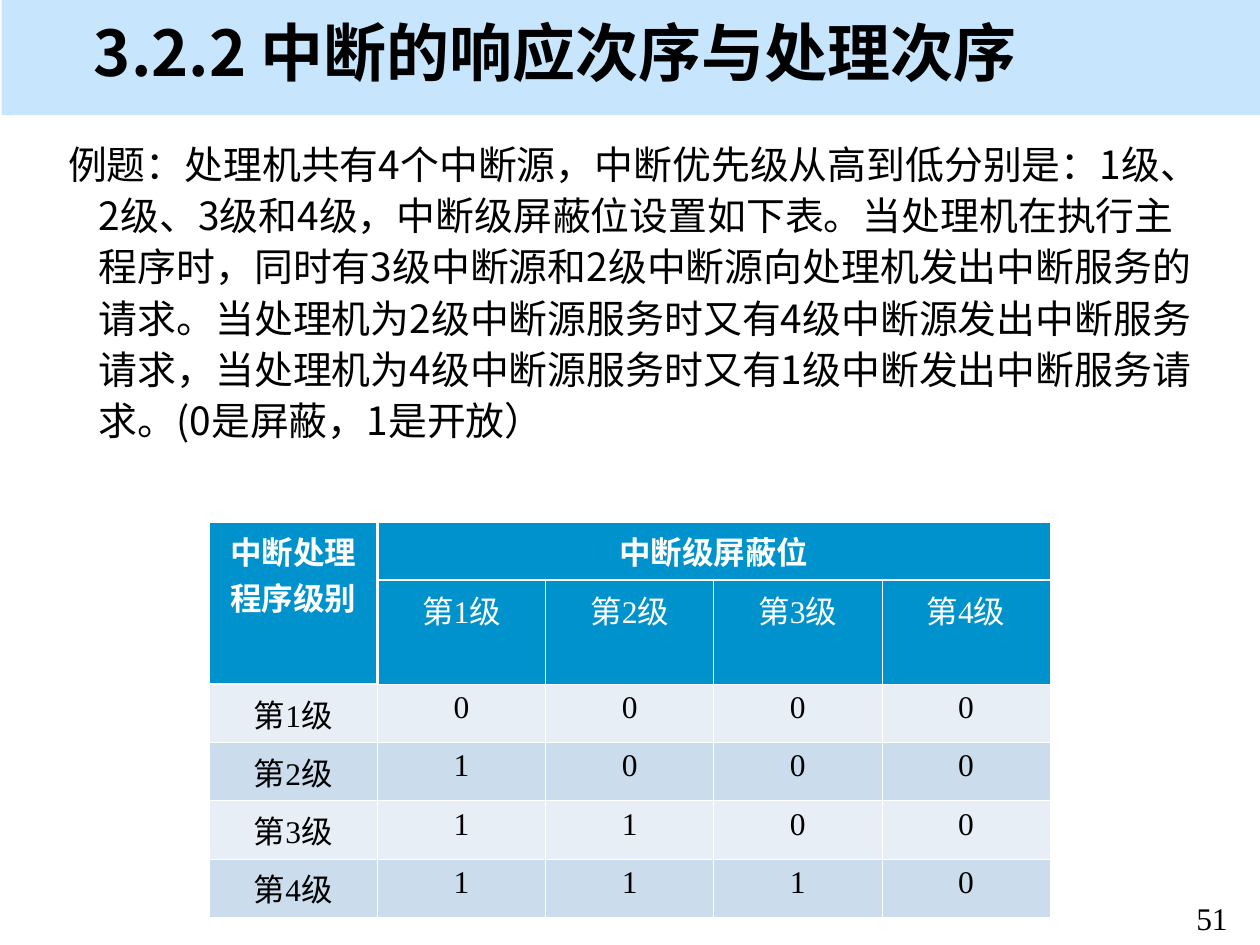
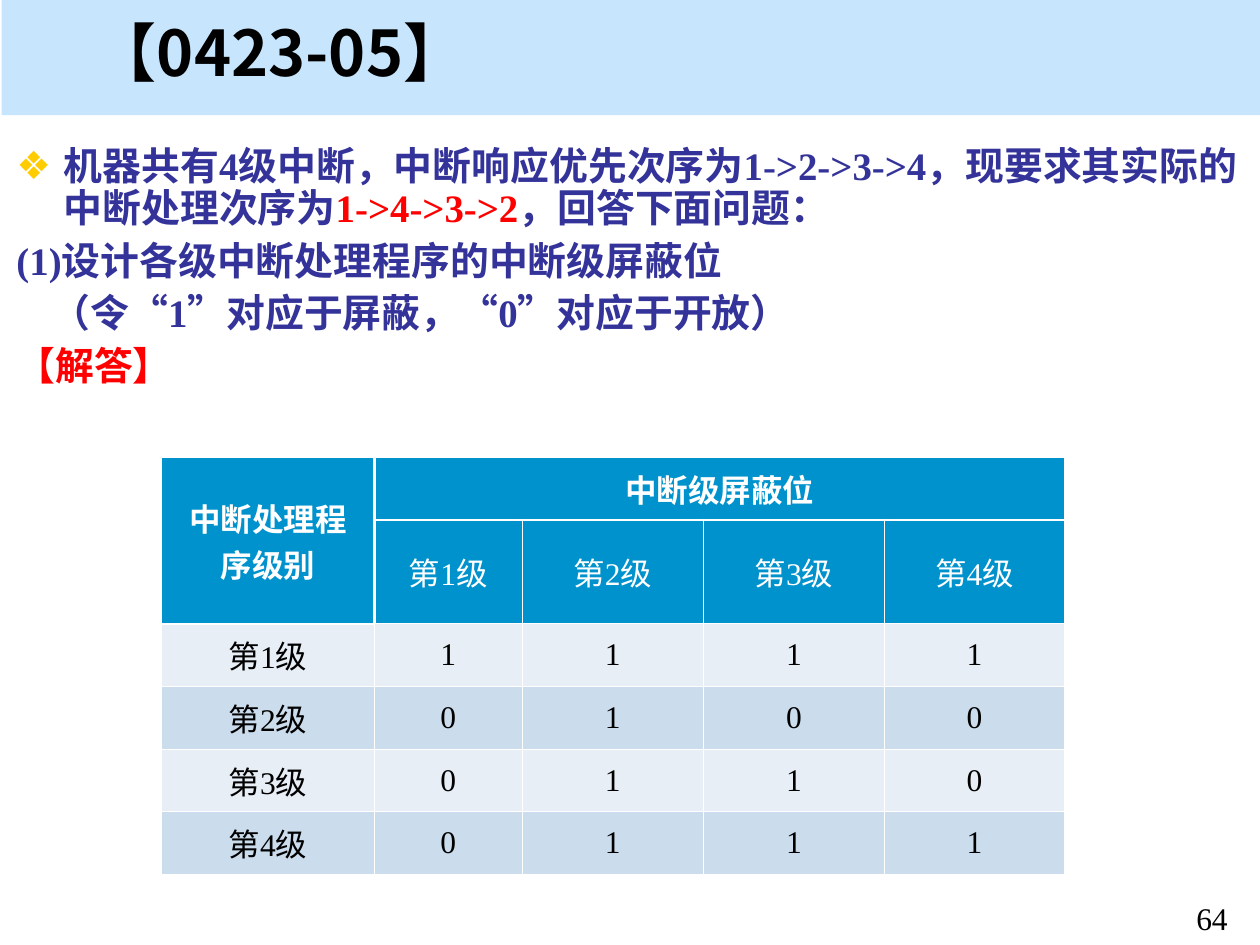
from lxml import etree
from pptx import Presentation
from pptx.dml.color import RGBColor
from pptx.enum.shapes import MSO_SHAPE
from pptx.enum.text import MSO_ANCHOR, MSO_AUTO_SIZE, PP_ALIGN
from pptx.oxml.ns import qn
from pptx.util import Pt

BLACK = RGBColor(0x00, 0x00, 0x00)
WHITE = RGBColor(0xFF, 0xFF, 0xFF)
RED = RGBColor(0xFF, 0x00, 0x00)
INDIGO = RGBColor(0x33, 0x33, 0x99)
GOLD = RGBColor(0xFF, 0xCC, 0x00)
BAND_BLUE = RGBColor(0xC7, 0xE6, 0xFD)
HEADER_BLUE = RGBColor(0x00, 0x92, 0xCC)
ROW_FILLS = (RGBColor(0xE7, 0xEE, 0xF6), RGBColor(0xCB, 0xDC, 0xEC))

HAN_FONT = "Noto Sans CJK SC"
SERIF_FONT = "Times New Roman"
BULLET_FONT = "DejaVu Sans"
BODY_SIZE = 22.2
HANGING = 27
THIN, THICK = 0.45, 1.47
LEVELS = ["第1级", "第2级", "第3级", "第4级"]


def style_paragraph(paragraph, size, color, latin=SERIF_FONT, bold=False):
    font = paragraph.font
    font.size, font.bold, font.name = Pt(size), bold, latin
    font.color.rgb = color
    defaults = paragraph._p.get_or_add_pPr().find(qn("a:defRPr"))
    east_asian = etree.Element(qn("a:ea"), typeface=HAN_FONT)
    defaults.find(qn("a:latin")).addnext(east_asian)


def set_indent(paragraph, first_line, bullet=None):
    """Hang the paragraph, with its first line starting at first_line points."""
    properties = paragraph._p.get_or_add_pPr()
    properties.set("marL", str(int(Pt(HANGING))))
    properties.set("indent", str(int(Pt(first_line - HANGING))))
    if bullet is None:
        etree.SubElement(properties, qn("a:buNone"))
        return
    bullet_color = etree.SubElement(properties, qn("a:buClr"))
    etree.SubElement(bullet_color, qn("a:srgbClr"), val=str(GOLD))
    etree.SubElement(properties, qn("a:buFont"), typeface=BULLET_FONT)
    etree.SubElement(properties, qn("a:buChar"), char=bullet)


def place(shape, left, top, width, height):
    shape.left, shape.top = Pt(left), Pt(top)
    shape.width, shape.height = Pt(width), Pt(height)


def add_band(slide):
    band = slide.shapes.add_shape(
        MSO_SHAPE.RECTANGLE, Pt(1), 0, Pt(719), Pt(65.8))
    band.shadow.inherit = False
    band.fill.solid()
    band.fill.fore_color.rgb = BAND_BLUE
    band.line.fill.background()
    slide.shapes._spTree.insert(2, band._element)  # behind the title


def add_page_number(slide, number):
    box = slide.shapes.add_textbox(Pt(667.4), Pt(510), Pt(50.4), Pt(23.8))
    box.text_frame.word_wrap = True
    paragraph = box.text_frame.paragraphs[0]
    paragraph.text = str(number)
    paragraph.alignment = PP_ALIGN.CENTER
    style_paragraph(paragraph, 18, BLACK)


def start_slide(prs, heading, number):
    slide = prs.slides.add_slide(prs.slide_layouts[1])
    add_band(slide)
    title = slide.shapes.title
    place(title, 46.5, 5.3, 617.8, 48.2)
    frame = title.text_frame
    frame.auto_size = MSO_AUTO_SIZE.NONE
    frame.vertical_anchor = MSO_ANCHOR.MIDDLE
    paragraph = frame.paragraphs[0]
    paragraph.text = heading
    paragraph.alignment = PP_ALIGN.LEFT
    style_paragraph(paragraph, 36, BLACK, latin=HAN_FONT, bold=True)
    add_page_number(slide, number)
    return slide


def fill_body(slide, bounds, items, line_spacing, latin, bold):
    """Each item is (runs, colour, first-line start, bullet); a run is (text, colour or None)."""
    body = slide.placeholders[1]
    place(body, *bounds)
    frame = body.text_frame
    frame.auto_size = MSO_AUTO_SIZE.NONE
    for index, (runs, color, first_line, bullet) in enumerate(items):
        paragraph = frame.add_paragraph() if index else frame.paragraphs[0]
        paragraph.line_spacing = line_spacing
        paragraph.space_before = Pt(6 if index else 0)
        set_indent(paragraph, first_line, bullet)
        style_paragraph(paragraph, BODY_SIZE, color, latin, bold)
        for text, run_color in runs:
            run = paragraph.add_run()
            run.text = text
            if run_color is not None:
                run.font.color.rgb = run_color


def set_borders(cell, row, col):
    """White grid, thicker around the two header parts."""
    in_header = row < 2
    thick_edges = {
        "lnL": in_header and col == 1,
        "lnR": in_header and col == 0,
        "lnT": row == (1 if col else 2),
        "lnB": row == 0 or (row == 1 and col == 0),
    }
    properties = cell._tc.get_or_add_tcPr()
    for edge, thick in thick_edges.items():
        width = Pt(THICK if thick else THIN)
        line = etree.SubElement(properties, qn(f"a:{edge}"), w=str(int(width)))
        fill = etree.SubElement(line, qn("a:solidFill"))
        etree.SubElement(fill, qn("a:srgbClr"), val=str(WHITE))


def add_mask_table(slide, left, top, col_widths, row_heights, masks, anchor):
    """Table of mask bits; masks holds one string of bits for each level."""
    rows = [["中断处理程序级别", "中断级屏蔽位", "", "", ""], ["", *LEVELS]]
    rows += [[level, *bits] for level, bits in zip(LEVELS, masks)]
    table = slide.shapes.add_table(
        len(rows), len(col_widths), Pt(left), Pt(top),
        Pt(sum(col_widths)), Pt(sum(row_heights))).table
    table.first_row = table.horz_banding = False
    for column, width in zip(table.columns, col_widths):
        column.width = Pt(width)
    for table_row, height in zip(table.rows, row_heights):
        table_row.height = Pt(height)
    table.cell(0, 0).merge(table.cell(1, 0))
    table.cell(0, 1).merge(table.cell(0, 4))

    for row, texts in enumerate(rows):
        in_header = row < 2
        for col, text in enumerate(texts):
            cell = table.cell(row, col)
            set_borders(cell, row, col)
            cell.fill.solid()
            cell.fill.fore_color.rgb = HEADER_BLUE if in_header else ROW_FILLS[row % 2]
            cell.vertical_anchor = anchor
            if cell.is_spanned:
                continue
            paragraph = cell.text_frame.paragraphs[0]
            paragraph.text = text
            paragraph.alignment = PP_ALIGN.CENTER
            style_paragraph(paragraph, 18, WHITE if in_header else BLACK, bold=row == 0)


def build_example(prs):
    slide = start_slide(prs, "3.2.2 中断的响应次序与处理次序", 51)
    question = (
        "例题：处理机共有4个中断源，中断优先级从高到低分别是：1级、2级、3级和4级，"
        "中断级屏蔽位设置如下表。当处理机在执行主程序时，同时有3级中断源和2级中断源"
        "向处理机发出中断服务的请求。当处理机为2级中断源服务时又有4级中断源发出中断"
        "服务请求，当处理机为4级中断源服务时又有1级中断发出中断服务请求。"
        "(0是屏蔽，1是开放）")
    fill_body(slide, (22.3, 74, 666.7, 212), [([(question, None)], BLACK, 9.4, None)],
              line_spacing=1.1, latin=HAN_FONT, bold=False)
    add_mask_table(slide, 119.6, 298.3, [96.1] * 5, [33.3, 59.4] + [33.3] * 4,
                   ["0000", "1000", "1100", "1110"], MSO_ANCHOR.TOP)


def build_exercise(prs):
    slide = start_slide(prs, "【0423-05】", 64)
    task = [
        ("机器共有4级中断，中断响应优先次序为1->2->3->4，现要求其实际的中断处理次序为", None),
        ("1->4->3->2", RED),
        ("，回答下面问题：", None),
    ]
    items = [
        (task, INDIGO, 0, "❖"),
        ([("(1)设计各级中断处理程序的中断级屏蔽位", None)], INDIGO, 0, None),
        ([("（令“1”对应于屏蔽，“0”对应于开放）", None)], INDIGO, 20, None),
        ([("【解答】", None)], RED, 0, None),
    ]
    fill_body(slide, (2.2, 80.6, 715, 166), items,
              line_spacing=0.9, latin=SERIF_FONT, bold=True)
    add_mask_table(slide, 92.3, 261.3, [121.7, 84.4, 103.7, 103.2, 103.2],
                   [35.8, 59.4] + [35.8] * 4,
                   ["1111", "0100", "0110", "0111"], MSO_ANCHOR.MIDDLE)


def main():
    prs = Presentation()
    prs.slide_width, prs.slide_height = Pt(720), Pt(540)
    build_example(prs)
    build_exercise(prs)
    prs.save("out.pptx")


if __name__ == "__main__":
    main()
